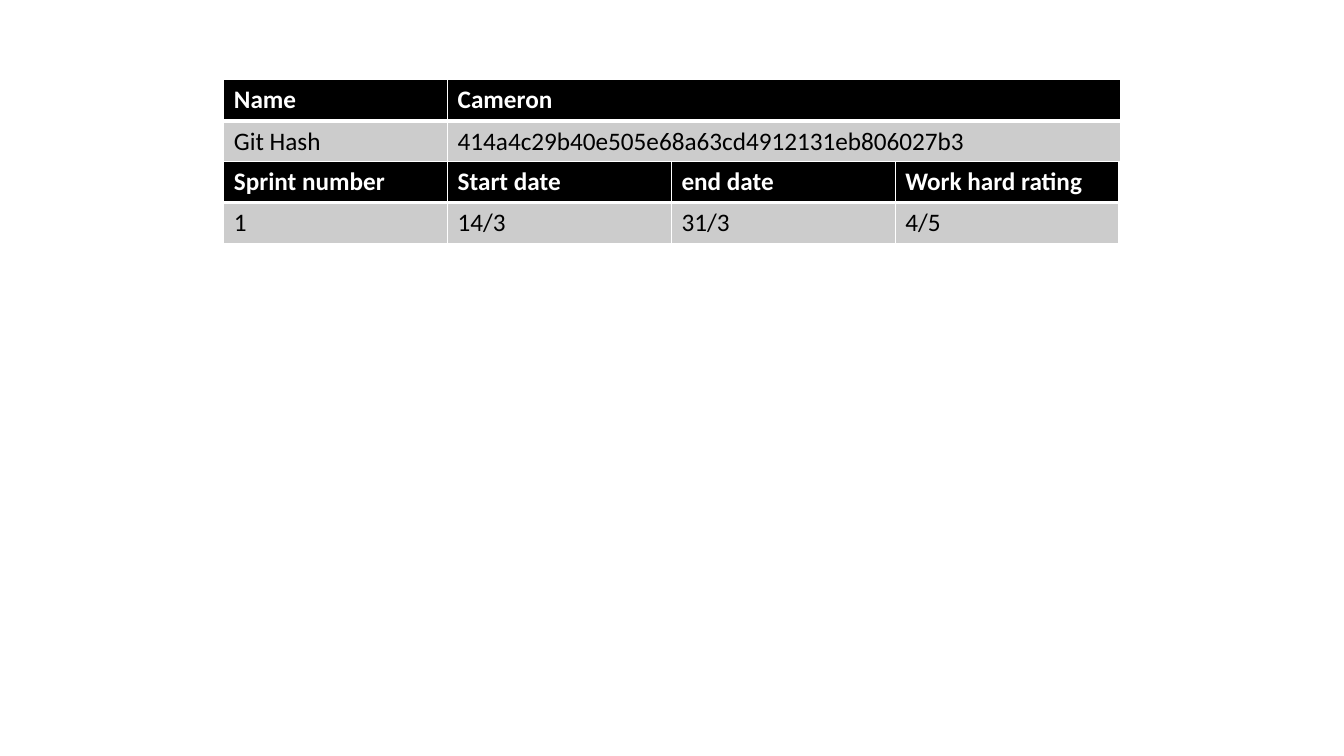
"""Build a slide with a developer table above a sprint table."""
from dataclasses import dataclass

from lxml.etree import SubElement as add_element
from pptx import Presentation
from pptx.dml.color import RGBColor
from pptx.oxml.ns import qn
from pptx.util import Inches, Pt

BLACK = RGBColor(0x00, 0x00, 0x00)
WHITE = RGBColor(0xFF, 0xFF, 0xFF)
GREY = RGBColor(0xCC, 0xCC, 0xCC)

LEFT = 2.22
ROW_HEIGHT = 0.41
THIN = 1
THICK = 3


@dataclass(frozen=True)
class TableBlock:
    top: float
    widths: tuple[float, ...]
    header: tuple[str, ...]
    body: tuple[str, ...]


BLOCKS = (
    TableBlock(
        top=0.79,
        widths=(2.22, 6.67),
        header=("Name", "Cameron"),
        body=("Git Hash", "414a4c29b40e505e68a63cd4912131eb806027b3"),
    ),
    TableBlock(
        top=1.6,
        widths=(2.22,) * 4,
        header=("Sprint number", "Start date", "end date", "Work hard rating"),
        body=("1", "14/3", "31/3", "4/5"),
    ),
)


def add_border(cell, side: str, points: float) -> None:
    properties = cell._tc.get_or_add_tcPr()
    line = add_element(properties, qn(f"a:ln{side}"), w=str(Pt(points)))
    fill = add_element(line, qn("a:solidFill"))
    add_element(fill, qn("a:srgbClr"), val=str(WHITE))


def write_text(cell, text: str, *, color: RGBColor, bold: bool,
               size: float = 18, font: str = "Calibri") -> None:
    span = cell.text_frame.paragraphs[0].add_run()
    span.text = text
    span.font.name = font
    span.font.size = Pt(size)
    span.font.bold = bold
    span.font.color.rgb = color


def style_cell(cell, text: str, *, is_header: bool) -> None:
    top, bottom = (THIN, THICK) if is_header else (THICK, THIN)
    for side, points in (("L", THIN), ("R", THIN), ("T", top), ("B", bottom)):
        add_border(cell, side, points)
    cell.fill.solid()
    cell.fill.fore_color.rgb = BLACK if is_header else GREY
    write_text(cell, text, color=WHITE if is_header else BLACK, bold=is_header)


def draw_table(page, block: TableBlock) -> None:
    rows = (block.header, block.body)
    frame = page.shapes.add_table(
        len(rows), len(block.widths), Inches(LEFT), Inches(block.top),
        Inches(sum(block.widths)), Inches(ROW_HEIGHT * len(rows)))
    table = frame.table
    for column, width in zip(table.columns, block.widths):
        column.width = Inches(width)
    for row_index, texts in enumerate(rows):
        table.rows[row_index].height = Inches(ROW_HEIGHT)
        for column_index, text in enumerate(texts):
            style_cell(table.cell(row_index, column_index), text,
                       is_header=row_index == 0)


def main() -> None:
    deck = Presentation()
    deck.slide_width = Inches(13.33)
    deck.slide_height = Inches(7.5)
    page = deck.slides.add_slide(deck.slide_layouts[6])
    for block in BLOCKS:
        draw_table(page, block)
    deck.save("out.pptx")


if __name__ == "__main__":
    main()
